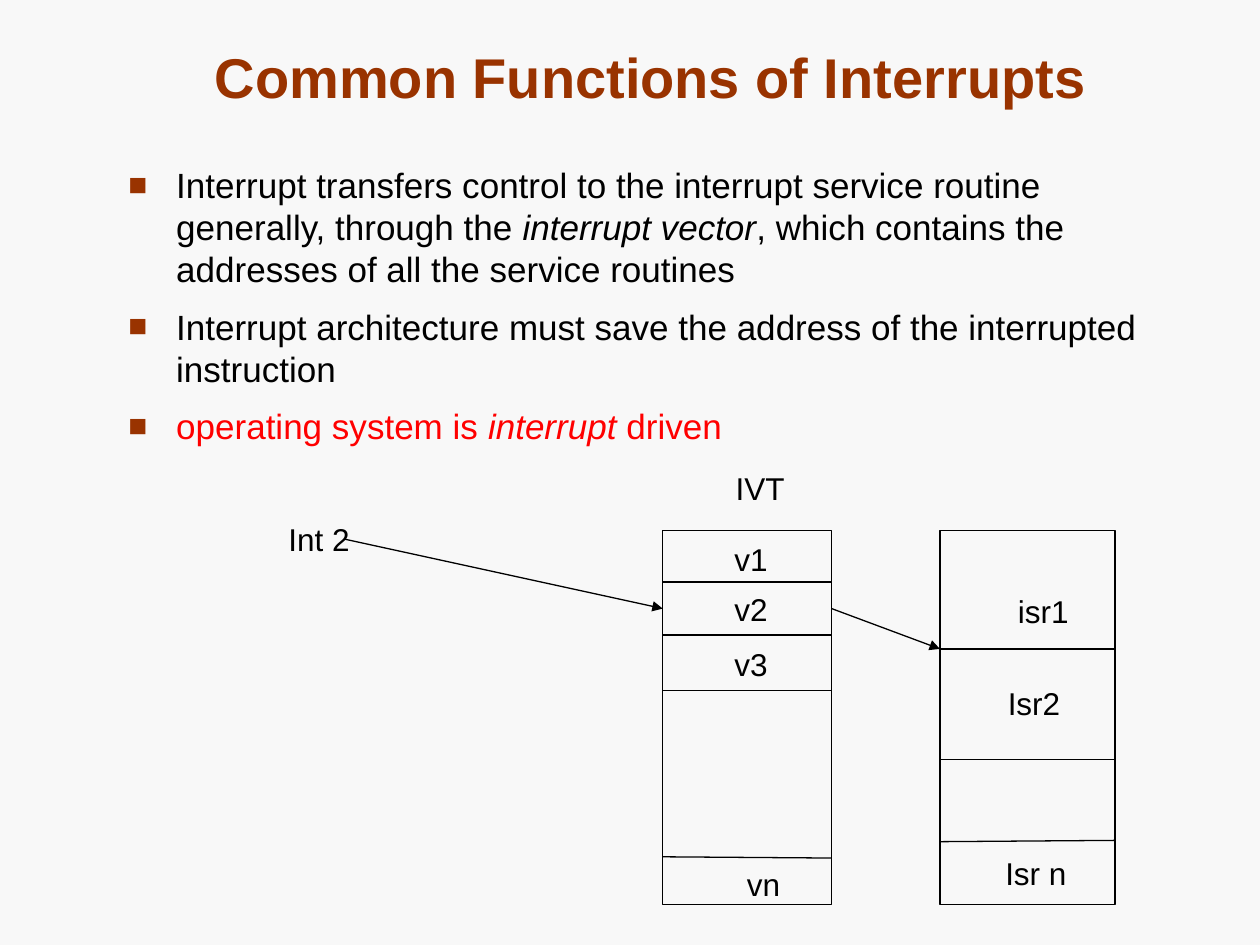
from dataclasses import dataclass

from lxml import etree
from pptx import Presentation
from pptx.dml.color import RGBColor
from pptx.enum.shapes import MSO_CONNECTOR, MSO_SHAPE
from pptx.enum.text import MSO_ANCHOR, MSO_AUTO_SIZE, PP_ALIGN
from pptx.oxml.ns import qn
from pptx.util import Inches, Pt

STRAIGHT = MSO_CONNECTOR.STRAIGHT
RECTANGLE = MSO_SHAPE.RECTANGLE
BOTTOM = MSO_ANCHOR.BOTTOM
NO_AUTOFIT = MSO_AUTO_SIZE.NONE
CENTER = PP_ALIGN.CENTER
TITLE_ONLY = 5


@dataclass(frozen=True)
class Theme:
    """Colours, font and sizes of the slide."""
    background: RGBColor = RGBColor(0xF8, 0xF8, 0xF8)
    accent: RGBColor = RGBColor(0x99, 0x33, 0x00)
    ink: RGBColor = RGBColor(0x00, 0x00, 0x00)
    highlight: RGBColor = RGBColor(0xFF, 0x00, 0x00)
    font: str = "Arial"
    title_size: Pt = Pt(32)
    body_size: Pt = Pt(20)
    label_size: Pt = Pt(18)
    line_width: Pt = Pt(0.75)


THEME = Theme()

BULLETS = [
    (THEME.ink, [
        ("Interrupt transfers control to the interrupt service routine generally, through the ", False),
        ("interrupt vector", True),
        (", which contains the addresses of all the service routines", False),
    ]),
    (THEME.ink, [
        ("Interrupt architecture must save the address of the interrupted instruction", False),
    ]),
    (THEME.highlight, [
        ("operating system is ", False),
        ("interrupt", True),
        (" driven", False),
    ]),
]

VECTOR_TABLE = (5.26, 4.21, 1.34, 2.97)
VECTOR_DIVIDERS = [(4.62, 4.62), (5.04, 5.04), (5.48, 5.48), (6.8, 6.81)]
VECTOR_LABELS = [
    ("IVT", 5.74, 3.67, 0.59),
    ("v1", 5.73, 4.24, 0.46),
    ("v2", 5.73, 4.63, 0.57),
    ("v3", 5.73, 5.07, 0.46),
    ("vn", 5.83, 6.82, 0.46),
]
ROUTINES = (7.46, 4.21, 1.39, 2.97)
ROUTINE_DIVIDERS = [(5.15, 5.15), (6.03, 6.03), (6.68, 6.67)]
ROUTINE_LABELS = [
    ("isr1", 7.98, 4.65, 0.6),
    ("Isr2", 7.9, 5.38, 0.64),
    ("Isr n", 7.88, 6.73, 0.68),
]


def add_run(paragraph, text, size, color, bold=False, italic=False):
    """Add one formatted run to a paragraph."""
    run = paragraph.add_run()
    run.text = text
    run.font.name = THEME.font
    run.font.size = size
    run.font.bold = bold
    run.font.italic = italic
    run.font.color.rgb = color


def add_bullet(paragraph):
    """Give a paragraph a hanging square bullet."""
    properties = paragraph._p.get_or_add_pPr()
    properties.set("marL", str(Inches(0.38)))
    properties.set("indent", str(-Inches(0.38)))
    bullet_color = etree.SubElement(properties, qn("a:buClr"))
    etree.SubElement(bullet_color, qn("a:srgbClr"), val=str(THEME.accent))
    etree.SubElement(properties, qn("a:buSzPct"), val="90000")
    etree.SubElement(properties, qn("a:buFont"), typeface=THEME.font)
    etree.SubElement(properties, qn("a:buChar"), char="■")


def add_line(slide, start, end, arrow=False):
    """Draw a thin line, with an arrowhead at its end if asked."""
    connector = slide.shapes.add_connector(STRAIGHT, *map(Inches, start + end))
    connector.line.color.rgb = THEME.ink
    connector.line.width = THEME.line_width
    if arrow:
        etree.SubElement(connector.line._get_or_add_ln(), qn("a:tailEnd"), type="triangle")
    etree.SubElement(connector._element.spPr, qn("a:effectLst"))


def add_label(slide, text, left, top, width):
    """Place a one-line diagram label with no inset on its right."""
    box = slide.shapes.add_textbox(*map(Inches, (left, top, width, 0.4)))
    frame = box.text_frame
    frame.word_wrap = True
    frame.margin_right = Inches(0)
    add_run(frame.paragraphs[0], text, THEME.label_size, THEME.ink)


def add_title(slide, box, text):
    """Move the title placeholder to its box and fill it."""
    title = slide.shapes.title
    title.left, title.top, title.width, title.height = map(Inches, box)
    frame = title.text_frame
    frame.auto_size = NO_AUTOFIT
    frame.vertical_anchor = BOTTOM
    paragraph = frame.paragraphs[0]
    paragraph.alignment = CENTER
    add_run(paragraph, text, THEME.title_size, THEME.accent, bold=True)


def add_body(slide, box, bullets):
    """Write the bulleted statements in their box."""
    frame = slide.shapes.add_textbox(*map(Inches, box)).text_frame
    frame.word_wrap = True
    for index, (color, parts) in enumerate(bullets):
        paragraph = frame.add_paragraph() if index else frame.paragraphs[0]
        add_bullet(paragraph)
        if index:
            paragraph.space_before = Pt(8.8)
        for text, italic in parts:
            add_run(paragraph, text, THEME.body_size, color, italic=italic)


def add_memory_column(slide, box, dividers, labels):
    """Draw an outlined memory column with divider lines and labels."""
    shape = slide.shapes.add_shape(RECTANGLE, *map(Inches, box))
    shape.shadow.inherit = False
    shape.fill.background()
    shape.line.color.rgb = THEME.ink
    shape.line.width = THEME.line_width
    left, right = box[0], box[0] + box[2]
    for start_y, end_y in dividers:
        add_line(slide, (left, start_y), (right, end_y))
    for label in labels:
        add_label(slide, *label)


def add_interrupt_flow(slide, vector_box, routine_box):
    """Lead from the interrupt through its vector to its routine."""
    vector_left, vector_right = vector_box[0], vector_box[0] + vector_box[2]
    add_label(slide, "Int 2", 2.19, 4.08, 0.68)
    add_line(slide, (2.74, 4.28), (vector_left, 4.83), arrow=True)
    add_line(slide, (vector_right, 4.83), (routine_box[0], 5.15), arrow=True)


def main():
    """Build and save the slide."""
    presentation = Presentation()
    presentation.slide_width = Inches(10)
    presentation.slide_height = Inches(7.5)
    slide = presentation.slides.add_slide(presentation.slide_layouts[TITLE_ONLY])
    slide.background.fill.solid()
    slide.background.fill.fore_color.rgb = THEME.background
    add_title(slide, (0.75, 0.25, 8.83, 0.67), "Common Functions of Interrupts")
    add_body(slide, (0.92, 1.25, 8.58, 6.07), BULLETS)
    add_memory_column(slide, VECTOR_TABLE, VECTOR_DIVIDERS, VECTOR_LABELS)
    add_memory_column(slide, ROUTINES, ROUTINE_DIVIDERS, ROUTINE_LABELS)
    add_interrupt_flow(slide, VECTOR_TABLE, ROUTINES)
    presentation.save("out.pptx")


if __name__ == "__main__":
    main()
